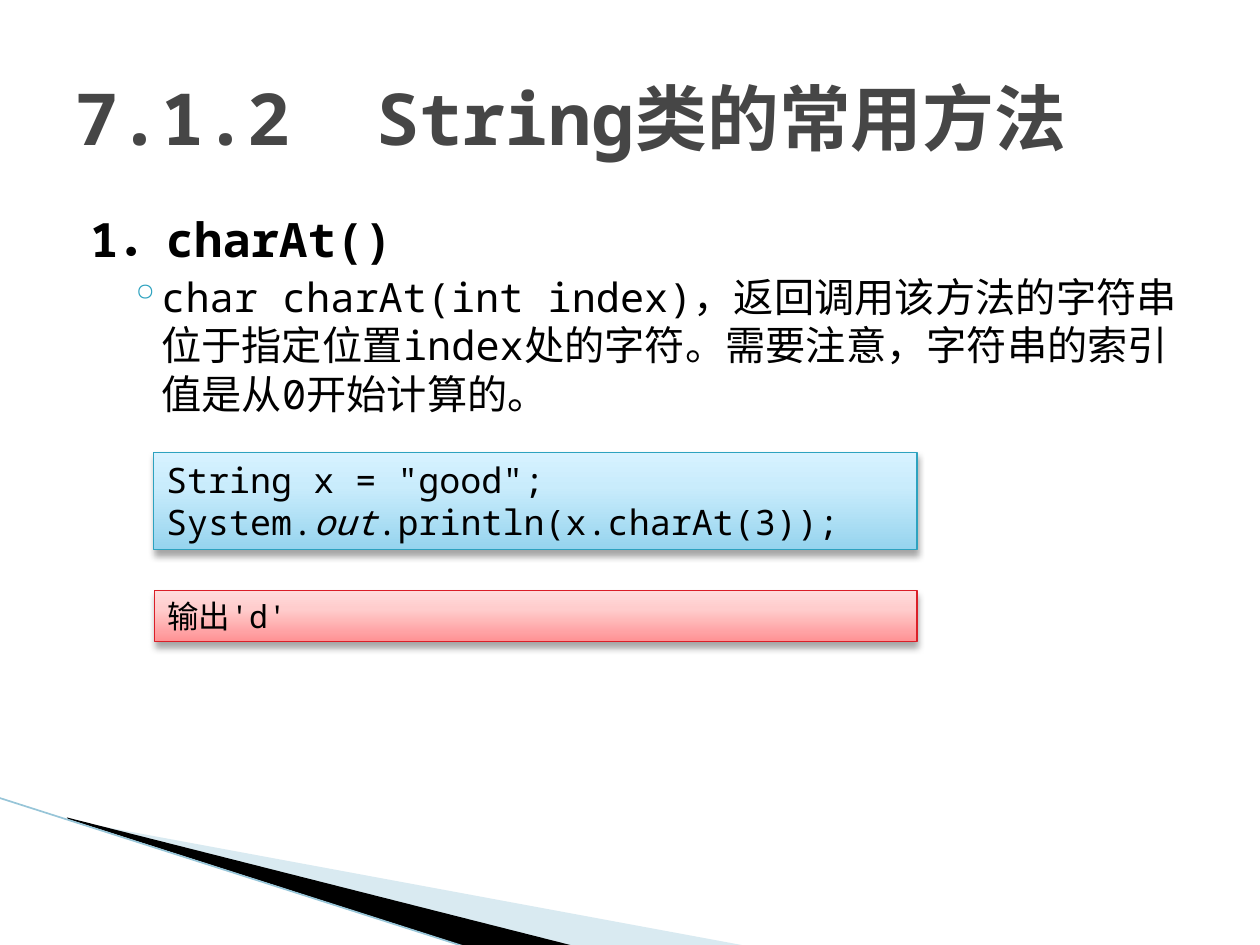
from lxml.etree import SubElement
from pptx import Presentation
from pptx.dml.color import RGBColor
from pptx.enum.shapes import MSO_CONNECTOR, MSO_SHAPE
from pptx.enum.text import MSO_ANCHOR, MSO_AUTO_SIZE, PP_ALIGN
from pptx.oxml.ns import qn
from pptx.util import Cm, Pt


def rgb(value):
    return RGBColor.from_string(value)


def add_xml(parent, tag, **attrs):
    return SubElement(parent, qn(tag), {k: str(v) for k, v in attrs.items()})


def add_color(parent, value, alpha=None):
    """Add an sRGB colour element, with opacity in percent if given."""
    clr = add_xml(parent, "a:srgbClr", val=value)
    if alpha is not None:
        add_xml(clr, "a:alpha", val=alpha * 1000)


class SlideBuilder:
    font = "Noto Sans Mono"
    text_color = "000000"

    def __init__(self, slide):
        self.s = slide

    def format(self, p, size, bold=False, color=text_color):
        for r in p.runs:
            r.font.name = self.font
            r.font.size = Pt(size)
            r.font.bold = bold
            r.font.color.rgb = rgb(color)
            add_xml(r.font._element, "a:ea", typeface=self.font)

    def indent(self, p, left, first=0.0):
        pPr = p._p.get_or_add_pPr()
        pPr.set("marL", str(Cm(left)))
        pPr.set("indent", str(Cm(first)))
        return pPr

    def bullet(self, p, char, color, left, hang):
        pPr = self.indent(p, left, -hang)
        add_color(add_xml(pPr, "a:buClr"), color)
        add_xml(pPr, "a:buChar", char=char)

    def text_box(self, box, anchor=MSO_ANCHOR.TOP):
        tf = self.s.shapes.add_textbox(*map(Cm, box)).text_frame
        tf.word_wrap = True
        tf.vertical_anchor = anchor
        return tf

    def polygon(self, points, color, alpha=None):
        pts = [(Cm(x), Cm(y)) for x, y in points]
        builder = self.s.shapes.build_freeform(*pts[0])
        builder.add_line_segments(pts[1:], close=True)
        sp = builder.convert_to_shape()
        sp.shadow.inherit = False
        sp.line.fill.background()
        sp.fill.solid()
        sp.fill.fore_color.rgb = rgb(color)
        if alpha is not None:
            clr = sp._element.spPr.find(qn("a:solidFill"))[0]
            add_xml(clr, "a:alpha", val=alpha * 1000)

    def line(self, start, end, color, width):
        ln = self.s.shapes.add_connector(
            MSO_CONNECTOR.STRAIGHT, *map(Cm, start + end))
        ln.line.color.rgb = rgb(color)
        ln.line.width = Pt(width)
        add_xml(ln._element.spPr, "a:effectLst")

    def code_panel(self, box, stops, border, lines, size):
        """Add a shaded panel; each line is a list of (text, italic) pieces."""
        sp = self.s.shapes.add_shape(MSO_SHAPE.RECTANGLE, *map(Cm, box))
        sp.line.color.rgb = rgb(border)
        sp.line.width = Pt(0.75)
        self.gradient(sp, stops)
        self.drop_shadow(sp)
        tf = sp.text_frame
        tf.word_wrap = True
        tf.auto_size = MSO_AUTO_SIZE.SHAPE_TO_FIT_TEXT
        for i, pieces in enumerate(lines):
            p = tf.add_paragraph() if i else tf.paragraphs[0]
            p.alignment = PP_ALIGN.LEFT
            for text, italic in pieces:
                r = p.add_run()
                r.text = text
                r.font.italic = italic
            self.format(p, size)

    def gradient(self, sp, stops):
        sp.fill.gradient()
        sp.fill.gradient_angle = 90
        gs_list = sp._element.spPr.find(qn("a:gradFill")).find(qn("a:gsLst"))
        for gs in list(gs_list):
            gs_list.remove(gs)
        for pos, color in zip((0, 65, 100), stops):
            add_color(add_xml(gs_list, "a:gs", pos=pos * 1000), color)

    def drop_shadow(self, sp):
        sp.shadow.inherit = False
        effects = sp._element.spPr.find(qn("a:effectLst"))
        shadow = add_xml(effects, "a:outerShdw", blurRad=Pt(4), dist=Pt(3),
                         dir=90 * 60000, rotWithShape=0)
        add_color(shadow, "000000", 35)


def main():
    prs = Presentation()
    prs.slide_width, prs.slide_height = Cm(25.4), Cm(19.05)
    b = SlideBuilder(prs.slides.add_slide(prs.slide_layouts[6]))

    b.polygon([(1.4, 16.54), (15.11, 19.08), (11.58, 19.08), (1.4, 16.51)],
              "A0CBDC", 40)
    b.polygon([(1.35, 16.48), (11.61, 19.08), (9.45, 19.1), (1.37, 16.51)],
              "000000")
    b.line((-0.03, 16.08), (9.42, 19.1), "97C5D8", 0.95)

    tf = b.text_box((1.27, 4.11, 22.86, 4.8))
    heading = tf.paragraphs[0]
    heading.text = "1．charAt()"
    heading.space_before = Pt(4)
    b.indent(heading, 0.3)
    b.format(heading, 27, bold=True)
    detail = tf.add_paragraph()
    detail.text = ("char charAt(int index)，返回调用该方法的字符串位于指定位置"
                   "index处的字符。需要注意，字符串的索引值是从0开始计算的。")
    detail.space_before = Pt(3.2)
    b.bullet(detail, "◦", "2DA2BF", 1.73, 0.64)
    b.format(detail, 23)

    tf = b.text_box((1.27, 0.76, 22.86, 3.18), MSO_ANCHOR.MIDDLE)
    title = tf.paragraphs[0]
    title.text = "7.1.2  String类的常用方法"
    b.format(title, 41, bold=True, color="464646")

    b.code_panel((3.1, 9.12, 15.39, 1.96), ("96D4EE", "C9ECFC", "D7F2FF"),
                 "2DA2BF",
                 [[('String x = "good";', False)],
                  [("System.", False), ("out", True),
                   (".println(x.charAt(3));", False)]], 20)
    b.code_panel((3.12, 11.91, 15.37, 1.02), ("FF9294", "FFCDCD", "FFDCDC"),
                 "DA1F28", [[("输出'd'", False)]], 18)

    prs.save("out.pptx")


if __name__ == "__main__":
    main()
